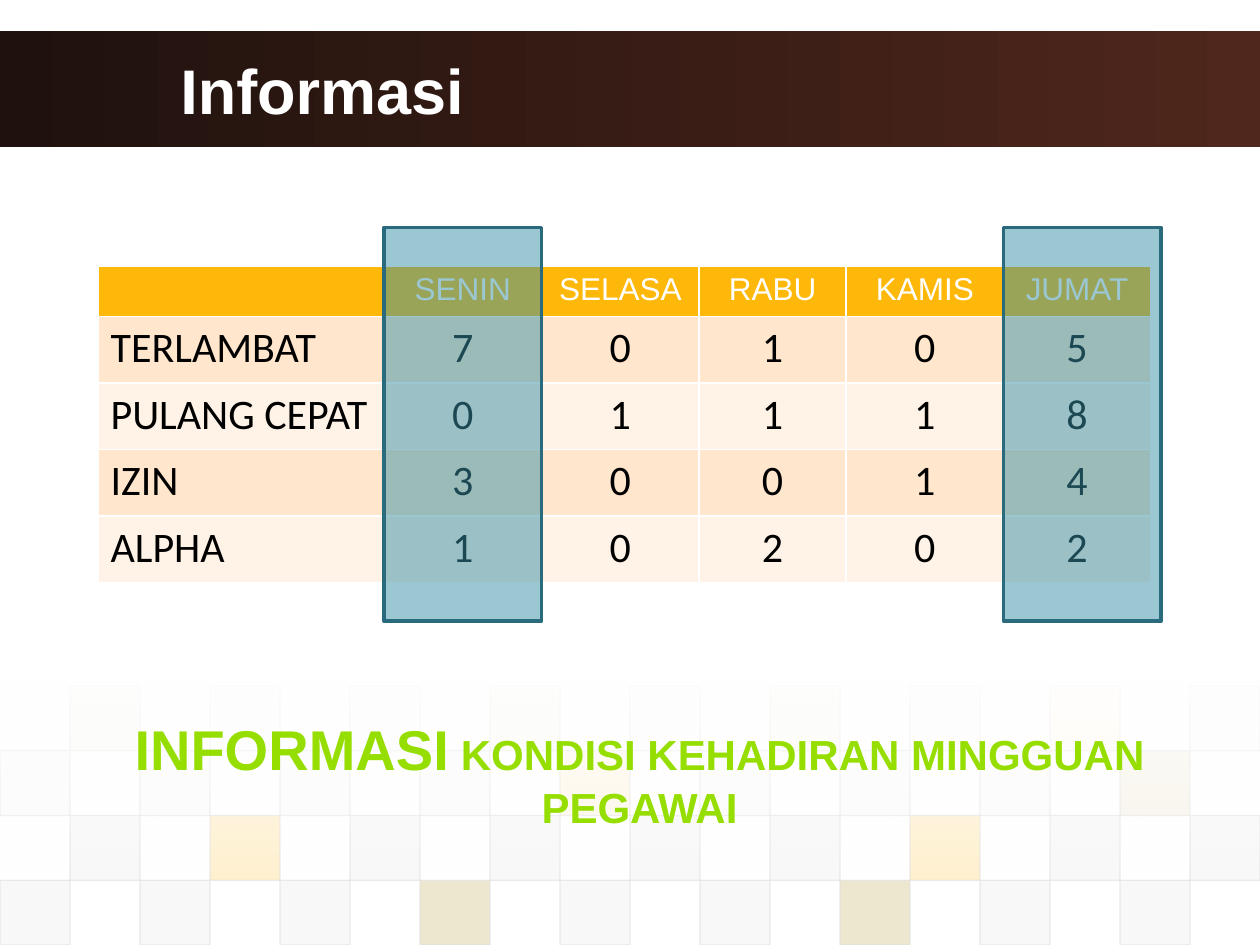
from lxml import etree
from pptx import Presentation
from pptx.dml.color import RGBColor
from pptx.enum.shapes import MSO_SHAPE
from pptx.enum.text import MSO_ANCHOR, PP_ALIGN
from pptx.oxml.ns import qn
from pptx.util import Pt

RECTANGLE = MSO_SHAPE.RECTANGLE
LEFT, CENTER = PP_ALIGN.LEFT, PP_ALIGN.CENTER
TOP, MIDDLE = MSO_ANCHOR.TOP, MSO_ANCHOR.MIDDLE

TITLE = "Informasi"
CAPTION = [("INFORMASI", "caption_lead"), (" KONDISI KEHADIRAN MINGGUAN PEGAWAI", "caption")]
ATTENDANCE = [
    ["", "SENIN", "SELASA", "RABU", "KAMIS", "JUMAT"],
    ["TERLAMBAT", "7", "0", "1", "0", "5"],
    ["PULANG CEPAT", "0", "1", "1", "1", "8"],
    ["IZIN", "3", "0", "0", "1", "4"],
    ["ALPHA", "1", "0", "2", "0", "2"],
]
HIGHLIGHTED_DAYS = ["SENIN", "JUMAT"]
# Every second tile of each checkerboard row: first column, opacity, tile colours
TILE_ROWS = [
    (1, 5, "oeeodoeye"),
    (0, 10, "ddddydddo"),
    (1, 20, "dyddddydd"),
    (0, 20, "dddoddodd"),
]

THEME = {
    "tiles": {"d": "DDDDDD", "e": "EAEAEA", "o": "AA8A14", "y": "FEB80A"},
    "tile_line": "DDDDDD",
    "white": "FFFFFF",
    "band": ("1F110D", "4F271C"),
    "header": "FEB80A",
    "body_rows": ("FFE6CC", "FFF3E7"),
    "highlight": "3891A7",
    "highlight_line": "296B7C",
    # font, size, colour, bold
    "text": {
        "title": ("Arial", 36, "FFFFFF", True),
        "caption_lead": ("Arial", 32, "96DD00", True),
        "caption": ("Arial", 24, "96DD00", True),
        "header": ("Arial", 18, "FFFFFF", False),
        "body": ("Calibri", 24, "000000", False),
    },
}

SLIDE_W, SLIDE_H = 720, 540
BAND_TOP, BAND_H = 18, 66
TILE_W, TILE_H = 40, 37
TABLE_LEFT, TABLE_TOP = 56, 152
COLUMN_WIDTHS = [163.5, 90, 90, 84, 90, 84]
ROW_HEIGHTS = [29, 38, 38, 38, 38]
HIGHLIGHT_W, HIGHLIGHT_OVERHANG = 90, 22


def rgb(color):
    return RGBColor.from_string(color)


def set_opacities(shape, *percents):
    """Give the shape's colours, fill first and line last, these opacities."""
    for color, percent in zip(shape._element.spPr.iter(qn("a:srgbClr")), percents):
        etree.SubElement(color, qn("a:alpha"), val=str(percent * 1000))


def add_rectangle(slide, left, top, width, height, fill, line=None, line_width=0):
    """Add a rectangle; fill is one colour, or a pair for a gradient."""
    shape = slide.shapes.add_shape(RECTANGLE, Pt(left), Pt(top), Pt(width), Pt(height))
    shape.shadow.inherit = False
    if isinstance(fill, tuple):
        shape.fill.gradient()
        for stop, color in zip(shape.fill.gradient_stops, fill):
            stop.color.rgb = rgb(color)
    else:
        shape.fill.solid()
        shape.fill.fore_color.rgb = rgb(fill)
    if line:
        shape.line.color.rgb = rgb(line)
        shape.line.width = Pt(line_width)
    else:
        shape.line.fill.background()
    return shape


def write(paragraph, runs, align):
    paragraph.alignment = align
    for text, style in runs:
        run = paragraph.add_run()
        run.text = text
        name, size, color, bold = THEME["text"][style]
        run.font.name, run.font.size, run.font.bold = name, Pt(size), bold
        run.font.color.rgb = rgb(color)


def add_text(slide, left, top, width, height, runs, align, anchor):
    frame = slide.shapes.add_textbox(Pt(left), Pt(top), Pt(width), Pt(height)).text_frame
    frame.word_wrap = True
    frame.vertical_anchor = anchor
    write(frame.paragraphs[0], runs, align)


def add_background(slide):
    band = add_rectangle(slide, 0, BAND_TOP, SLIDE_W, BAND_H, THEME["band"])
    band.fill.gradient_angle = 0
    board_top = SLIDE_H - TILE_H * len(TILE_ROWS)
    for row, (first, opacity, tiles) in enumerate(TILE_ROWS):
        for index, tile in enumerate(tiles):
            square = add_rectangle(
                slide, (first + 2 * index) * TILE_W, board_top + row * TILE_H,
                TILE_W, TILE_H, THEME["tiles"][tile], THEME["tile_line"], 0.75)
            set_opacities(square, opacity, 60)
    fade = add_rectangle(slide, 0, 387, SLIDE_W, 116, (THEME["white"], THEME["white"]))
    fade.fill.gradient_angle = 270
    set_opacities(fade, 90, 0)


def add_borders(cell):
    properties = cell._tc.get_or_add_tcPr()
    for side in ("a:lnL", "a:lnR", "a:lnT", "a:lnB"):
        border = etree.SubElement(properties, qn(side), w=str(Pt(1)))
        fill = etree.SubElement(border, qn("a:solidFill"))
        etree.SubElement(fill, qn("a:srgbClr"), val=THEME["white"])


def add_attendance(slide):
    table = slide.shapes.add_table(
        len(ATTENDANCE), len(COLUMN_WIDTHS), Pt(TABLE_LEFT), Pt(TABLE_TOP),
        Pt(sum(COLUMN_WIDTHS)), Pt(sum(ROW_HEIGHTS))).table
    for column, width in zip(table.columns, COLUMN_WIDTHS):
        column.width = Pt(width)
    for r, values in enumerate(ATTENDANCE):
        table.rows[r].height = Pt(ROW_HEIGHTS[r])
        style = "body" if r else "header"
        color = THEME["body_rows"][(r - 1) % 2] if r else THEME["header"]
        for c, value in enumerate(values):
            cell = table.cell(r, c)
            add_borders(cell)
            cell.fill.solid()
            cell.fill.fore_color.rgb = rgb(color)
            if value:
                write(cell.text_frame.paragraphs[0], [(value, style)], CENTER if c else LEFT)


def add_highlights(slide):
    for day in HIGHLIGHTED_DAYS:
        left = TABLE_LEFT + sum(COLUMN_WIDTHS[:ATTENDANCE[0].index(day)])
        highlight = add_rectangle(
            slide, left, TABLE_TOP - HIGHLIGHT_OVERHANG, HIGHLIGHT_W,
            sum(ROW_HEIGHTS) + 2 * HIGHLIGHT_OVERHANG,
            THEME["highlight"], THEME["highlight_line"], 2)
        set_opacities(highlight, 50)


def main():
    presentation = Presentation()
    presentation.slide_width, presentation.slide_height = Pt(SLIDE_W), Pt(SLIDE_H)
    slide = presentation.slides.add_slide(presentation.slide_layouts[6])
    add_background(slide)
    add_text(slide, 96, BAND_TOP, 582, BAND_H, [(TITLE, "title")], LEFT, MIDDLE)
    add_text(slide, 16.5, 404.5, 698, 51, CAPTION, CENTER, TOP)
    add_attendance(slide)
    add_highlights(slide)
    presentation.save("out.pptx")


if __name__ == "__main__":
    main()
